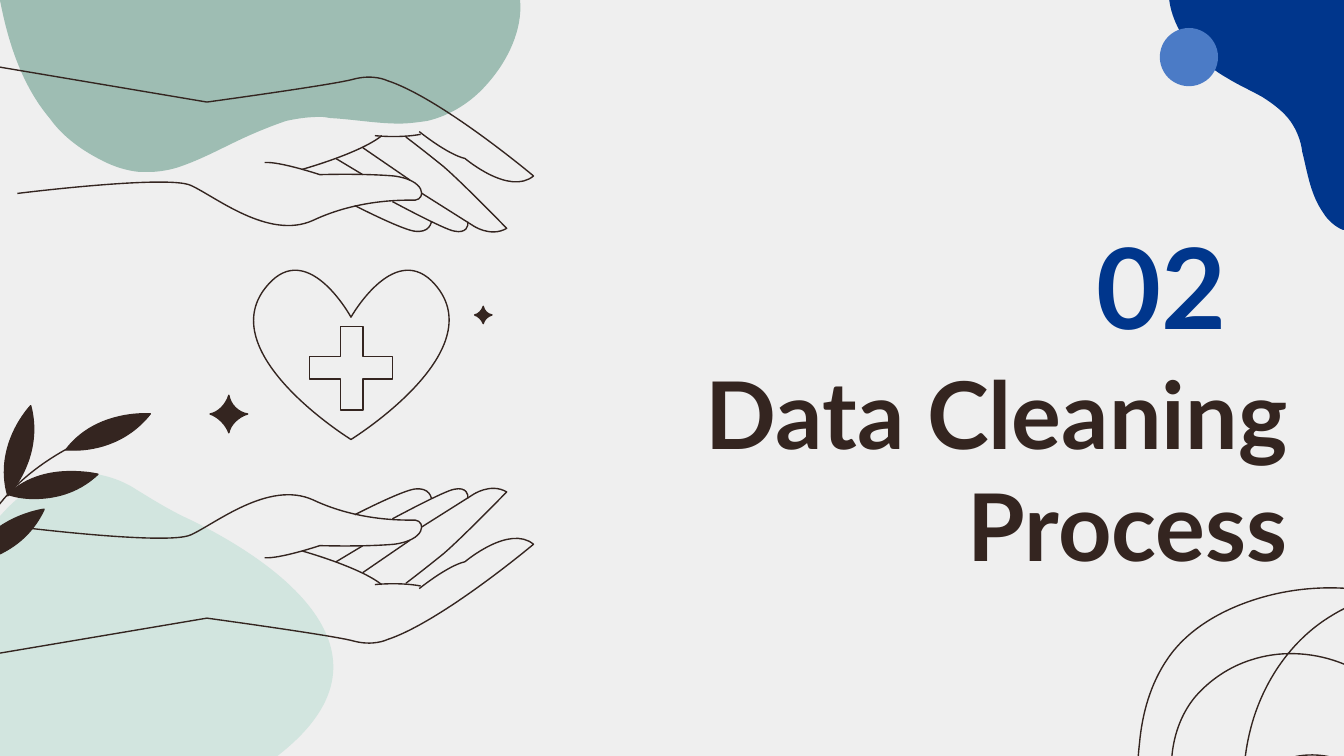
from lxml import etree
from pptx import Presentation
from pptx.dml.color import RGBColor
from pptx.enum.shapes import MSO_SHAPE
from pptx.enum.text import MSO_ANCHOR, MSO_AUTO_SIZE, PP_ALIGN
from pptx.oxml.ns import qn
from pptx.util import Cm, Pt

OVAL = MSO_SHAPE.OVAL
RIGHT = PP_ALIGN.RIGHT
BOTTOM, MIDDLE = MSO_ANCHOR.BOTTOM, MSO_ANCHOR.MIDDLE
NO_FIT = MSO_AUTO_SIZE.NONE

FONT = "Lato"
INK, BLUE, SKY = "342520", "00368C", "4B7BC6"
PAPER, SAGE, MINT = "EFEFEF", "9EBDB3", "D2E5DF"

UNIT = Cm(0.0254)  # one step of the drawing grid used by the outlines
STEPS = 16  # samples per curve when measuring an outline
HAND_HEIGHT = 129
TAGS = {"M": "a:moveTo", "L": "a:lnTo", "C": "a:cubicBezTo"}

# Outlines: M = start, L = lines, C = cubic curves, Z = close
CORNER = """M 7 0 C 9 15 17 29 27 40 34 47 41 53 50 58 58 63 67 67 76 72
    84 77 92 83 97 90 102 97 105 105 106 113 110 129 112 145 122 159
    125 164 131 169 136 171 L 137 171 137 0 Z"""
TOP_BLOB = """M 0 0 C 6 31 16 63 37 88 47 102 61 112 77 120 85 124 94 127 104 128
    106 128 108 128 110 128 117 128 124 127 131 125 150 119 167 109 185 101
    194 97 204 93 213 90 222 88 230 87 239 87 242 87 245 88 248 88
    264 89 281 92 297 92 304 92 311 91 318 90 335 86 351 76 363 62
    378 45 389 22 387 0 Z"""
LOW_BLOB = """M 142 50 C 113 50 77 69 44 144 0 245 76 301 164 301
    212 301 262 285 299 251 382 175 273 109 221 84 208 78 195 70 182 62
    173 56 158 50 142 50 Z"""
STEM = "M 55 140 C 55 140 51 64 154 21"
LEAVES = [
    """M 189 6 C 177 6 148 9 130 33 130 33 132 33 136 33
    148 33 174 30 193 6 193 6 192 6 189 6 Z""",
    """M 134 49 C 120 49 102 52 87 66 87 66 95 69 106 69
    120 69 138 66 154 51 154 51 146 49 134 49 Z""",
    "M 104 0 C 104 0 76 29 87 67 87 67 114 39 104 0 Z",
    "M 114 77 C 114 77 74 82 58 117 58 117 97 114 114 77 Z",
]
HAND = [
    """M 13 94 C 13 94 125 80 142 88 160 96 200 129 233 114
    267 98 301 99 309 99 317 98 317 84 293 81 269 79 238 80 238 80
    238 80 208 70 197 71""",
    "M 225 76 C 225 76 268 64 284 51",
    "M 279 51 C 279 51 297 53 313 50",
    """M 312 48 C 312 48 333 65 346 68 346 68 379 96 397 81
    397 81 328 23 288 10 288 10 278 5 263 9 249 13 154 26 154 26 L 0 0""",
    "M 270 60 L 305 84",
    """M 314 94 L 352 118 C 352 118 365 127 377 120
    377 120 344 86 330 74 314 61 302 52 302 52""",
    "M 250 68 L 270 80",
    "M 292 100 C 292 100 331 121 338 122 347 124 349 118 348 115",
    "M 264 103 C 264 103 297 120 308 122 320 124 321 115 321 115",
]
HEART = """M 170 28 C 141 0 110 55 110 55 110 55 80 0 51 28
    0 78 110 146 110 146 110 146 220 78 170 28 Z"""
CROSS = """M 102 62 L 102 84 79 84 79 101 102 101 102 124 119 124
    119 101 141 101 141 84 119 84 119 62 Z"""
SPARKLE = """M 14 0 C 12 7 6 13 0 14 6 16 12 22 14 28
    15 22 21 16 28 14 21 13 15 7 14 0 Z"""
SPIRAL = """M 168 331 C 101 307 32 267 9 200 1 176 0 150 3 124
    5 102 11 80 24 61 39 39 64 25 89 17 142 0 203 8 248 41
    292 74 317 133 306 187 295 241 246 287 191 290 146 293 102 269 71 237
    52 217 36 194 30 168 23 141 27 111 44 90 55 77 70 67 86 62
    128 48 180 66 201 105 221 144 204 200 163 217 144 225 120 224 103 211
    86 199 79 173 89 155 101 132 135 127 158 139 181 152 196 176 206 200
    216 224 223 250 237 272 251 294 275 312 301 311 332 310 355 283 368 256
    394 206 399 144 372 94 345 43 287 12 228 10 200 9 170 14 146 29
    116 47 95 78 86 112 77 146 79 182 90 215 105 265 139 310 184 336
    229 362 287 368 335 349 384 329 422 284 429 232"""


def rgb(color):
    return RGBColor.from_string(color)


def read_outline(outline, place):
    """List the (command, points) pairs, each point moved by place(x, y)."""
    moves, pending, command = [], [], ""
    for token in outline.split():
        if token.isalpha():
            command = token
            continue
        pending.append(int(token))
        if len(pending) == (6 if command == "C" else 2):
            moves.append((command, [place(x, y) for x, y in zip(pending[::2], pending[1::2])]))
            pending = []
    return moves


def sample(moves):
    """Points along the outline, from which its extent is measured."""
    points = []
    for command, nodes in moves:
        if command != "C":
            points += nodes
            continue
        nodes = [points[-1], *nodes]
        for step in range(1, STEPS + 1):
            t = step / STEPS
            weights = ((1 - t) ** 3, 3 * t * (1 - t) ** 2, 3 * t * t * (1 - t), t ** 3)
            points.append(tuple(round(sum(w * n[axis] for w, n in zip(weights, nodes)))
                                for axis in (0, 1)))
    return points


def set_curves(sp, moves, closed):
    """Replace the sampled segments of a freeform by true curves."""
    geometry = sp._element.find(".//" + qn("a:path"))
    for child in list(geometry):
        geometry.remove(child)
    for command, nodes in moves:
        move = etree.SubElement(geometry, qn(TAGS[command]))
        for x, y in nodes:
            etree.SubElement(move, qn("a:pt"), x=str(x - sp.left), y=str(y - sp.top))
    if closed:
        etree.SubElement(geometry, qn("a:close"))


def paint(sp, fill=None, line=None):
    sp.shadow.inherit = False
    if fill:
        sp.fill.solid()
        sp.fill.fore_color.rgb = rgb(fill)
    else:
        sp.fill.background()
    if line:
        sp.line.color.rgb = rgb(line)
        sp.line.width = Pt(0.75)
    else:
        sp.line.fill.background()


def draw(s, left, top, outline, fill=None, line=None, scale=1, flip_height=None):
    """Draw an outline from a corner; flip_height mirrors it top to bottom."""
    def place(x, y):
        if flip_height is not None:
            y = flip_height - y
        return round(left + x * scale * UNIT), round(top + y * scale * UNIT)

    moves, closed = read_outline(outline, place), "Z" in outline
    points = sample(moves)
    builder = s.shapes.build_freeform(*points[0], scale=1.0)
    builder.add_line_segments(points[1:], close=closed)
    sp = builder.convert_to_shape()
    set_curves(sp, moves, closed)
    paint(sp, fill, line)


def add_corner(s, left, top):
    draw(s, left, top, CORNER, fill=BLUE)
    size = Cm(1.1)
    paint(s.shapes.add_shape(OVAL, left, top + Cm(0.53), size, size), fill=SKY)


def add_plant(s, left, top):
    draw(s, left, top, LOW_BLOB, fill=MINT)
    draw(s, left, top, STEM, line=INK)
    for leaf in LEAVES:
        draw(s, left, top, leaf, fill=INK, line=INK)


def add_hand(s, left, top, flip_height=None):
    for stroke in HAND:
        draw(s, left, top, stroke, line=INK, flip_height=flip_height)


def add_heart(s, left, top):
    for outline in (HEART, CROSS):
        draw(s, left, top, outline, line=INK)
    for dx, dy, scale in ((0.13, 2.87, 1), (5.13, 1.19, 0.46)):
        draw(s, left + Cm(dx), top + Cm(dy), SPARKLE, fill=INK, line=INK, scale=scale)


def set_text(sp, box, text, size, color, anchor):
    sp.left, sp.top, sp.width, sp.height = box
    tf = sp.text_frame
    tf.word_wrap = True
    tf.auto_size = NO_FIT
    tf.vertical_anchor = anchor
    tf.margin_left = tf.margin_right = tf.margin_top = tf.margin_bottom = Cm(0.25)
    tf.text = text
    p = tf.paragraphs[0]
    p.alignment = RIGHT
    font = p.runs[0].font
    font.name, font.size, font.bold = FONT, Pt(size), True
    font.color.rgb = rgb(color)


def add_heading(s, left, top):
    box = left, top + Cm(1.98), Cm(15.47), Cm(5.13)
    set_text(s.shapes.title, box, "Data Cleaning Process", 50, INK, BOTTOM)
    box = left + Cm(11.1), top, Cm(3.2), Cm(2.54)
    set_text(s.shapes.add_textbox(*box), box, "02", 60, BLUE, MIDDLE)


def add_section_slide(prs):
    s = prs.slides.add_slide(prs.slide_layouts[5])
    s.background.fill.solid()
    s.background.fill.fore_color.rgb = rgb(PAPER)
    add_corner(s, Cm(21.92), 0)
    add_heading(s, Cm(9.12), Cm(4.11))
    draw(s, 0, 0, TOP_BLOB, fill=SAGE)
    add_plant(s, Cm(-2.06), Cm(7.67))
    add_hand(s, 0, Cm(1.27))
    add_heart(s, Cm(3.84), Cm(4.6))
    add_hand(s, 0, Cm(9.07), flip_height=HAND_HEIGHT)
    draw(s, Cm(21.46), Cm(10.9), SPIRAL, line=INK)


def main():
    prs = Presentation()
    prs.slide_width, prs.slide_height = Cm(25.4), Cm(14.29)
    add_section_slide(prs)
    prs.save("out.pptx")


if __name__ == "__main__":
    main()
